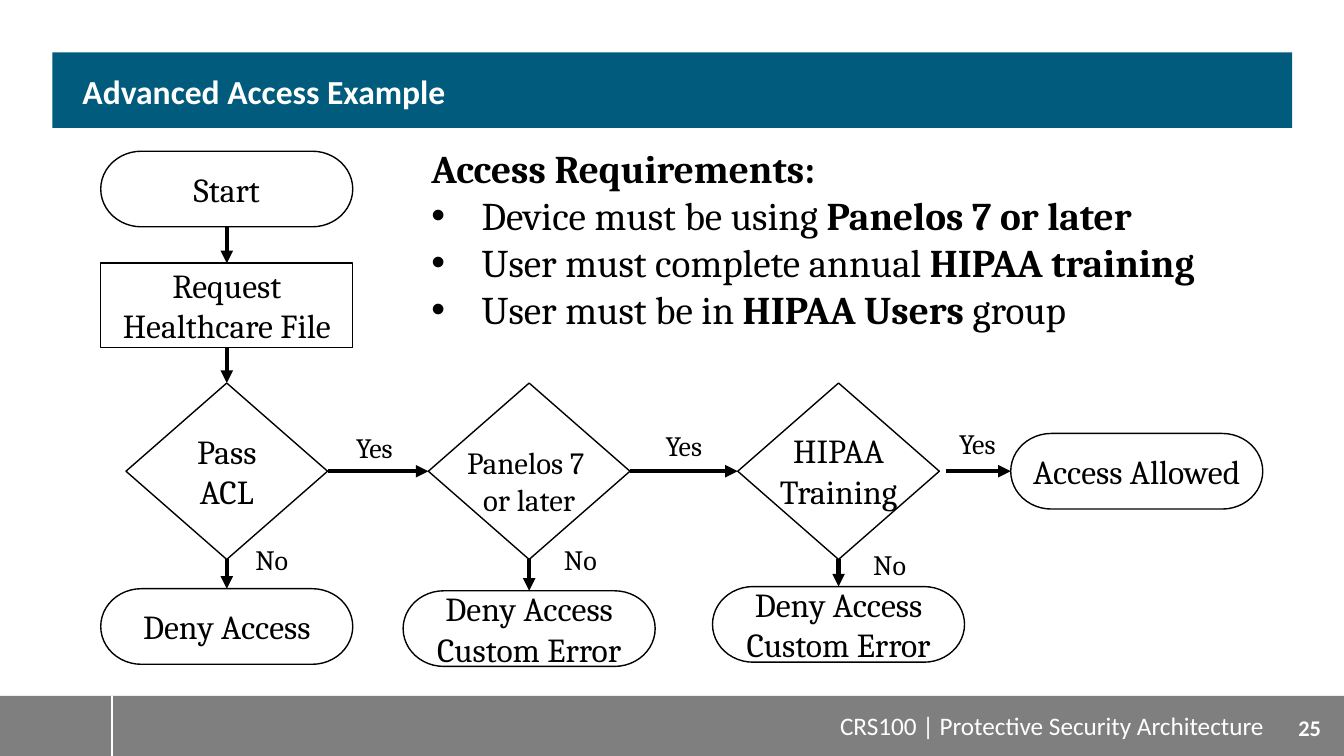
from lxml.etree import SubElement
from pptx import Presentation
from pptx.dml.color import RGBColor as RGB
from pptx.enum.shapes import MSO_CONNECTOR as LINE, MSO_SHAPE as SHAPE
from pptx.enum.text import MSO_ANCHOR as ANCHOR, PP_ALIGN as ALIGN
from pptx.oxml.ns import qn
from pptx.util import Pt

THEME = {
    "ink": RGB(0, 0, 0), "white": RGB(255, 255, 255),
    "banner": RGB(0x00, 0x5B, 0x7D), "footer": RGB(0x7F, 0x7F, 0x7F),
    "head_font": "Calibri", "body_font": "Cambria",
    "title": 24, "body": 28, "node": 24, "node_small": 22,
    "label": 20, "foot": 18, "number": 16,
}

# Content
TITLE = "Advanced Access Example"
FOOTER = "CRS100 | Protective Security Architecture"
NUMBER = "25"
HEADING = "Access Requirements:"
REQUIREMENTS = [  # (text, bold) runs
    [("Device must be using ", False), ("Panelos 7 or later", True)],
    [("User must complete annual ", False), ("HIPAA training", True)],
    [("User must be in ", False), ("HIPAA Users ", True), ("group", False)],
]
COLS = [162, 378, 599, 812]  # column centres
CHECK_Y = 336.6
KINDS = {  # preset shape, width, height
    "end": (SHAPE.FLOWCHART_TERMINATOR, 180, 54),
    "step": (SHAPE.FLOWCHART_PROCESS, 180, 60),
    "check": (SHAPE.FLOWCHART_DECISION, 144, 126),
}
NODES = {  # kind, column, centre y, text
    "start": ("end", 0, 135, "Start"),
    "request": ("step", 0, 218, "Request Healthcare File"),
    "acl": ("check", 0, CHECK_Y, "Pass ACL"),
    "system": ("check", 1, CHECK_Y, ""),
    "training": ("check", 2, CHECK_Y, ""),
    "deny_acl": ("end", 0, 447.5, "Deny Access"),
    "deny_system": ("end", 1, 449, "Deny Access\vCustom Error"),
    "deny_training": ("end", 2, 446, "Deny Access\vCustom Error"),
    "allowed": ("end", 3, CHECK_Y, "Access Allowed"),
}
CHECK_TEXTS = {  # column, top, height, text, size
    "training_text": (2, 303.8, 65.6, "HIPAA\vTraining", "node"),
    "system_text": (1, 313.2, 60.5, "Panelos 7 \vor later", "node_small"),
}
TOP, LEFT, BOTTOM, RIGHT = range(4)
ARROWS = [
    ("start", BOTTOM, "request", TOP), ("request", BOTTOM, "acl", TOP),
    ("acl", RIGHT, "system", LEFT), ("system", RIGHT, "training", LEFT),
    ("training_text", RIGHT, "allowed", LEFT),
    ("training", BOTTOM, "deny_training", TOP),
    ("system", BOTTOM, "deny_system", TOP), ("acl", BOTTOM, "deny_acl", TOP),
]
LABELS = [  # text, left, top
    ("Yes", 234, 303.8), ("Yes", 455, 302.4), ("Yes", 664.6, 301),
    ("No", 602, 387.4), ("No", 381, 383.8), ("No", 160.6, 383.8),
]

prs = Presentation()
prs.slide_width, prs.slide_height = Pt(960), Pt(540)
s = prs.slides.add_slide(prs.slide_layouts[6])


def style(font, size, color="ink", face="body_font", bold=False):
    font.name, font.size, font.bold = THEME[face], Pt(THEME[size]), bold
    font.color.rgb = THEME[color]


def write(sp, text, size, align=ALIGN.CENTER, anchor=ANCHOR.TOP, **look):
    tf = sp.text_frame
    tf.word_wrap, tf.vertical_anchor = True, anchor
    tf.text = text
    p = tf.paragraphs[0]
    p.alignment = align
    for r in p.runs:
        style(r.font, size, **look)
    return sp


def textbox(x, y, w, h, *args, **look):
    return write(s.shapes.add_textbox(Pt(x), Pt(y), Pt(w), Pt(h)), *args, **look)


def shape(kind, x, y, w, h, fill=None):
    sp = s.shapes.add_shape(kind, Pt(x), Pt(y), Pt(w), Pt(h))
    sp.shadow.inherit = False
    if fill:
        sp.fill.solid()
        sp.fill.fore_color.rgb = THEME[fill]
        sp.line.fill.background()
    else:
        sp.fill.background()
        sp.line.color.rgb, sp.line.width = THEME["ink"], Pt(1)
    return sp


def line(color, width, x1=0, y1=0, x2=0, y2=0):
    c = s.shapes.add_connector(LINE.STRAIGHT, Pt(x1), Pt(y1), Pt(x2), Pt(y2))
    c.line.color.rgb, c.line.width = THEME[color], Pt(width)
    SubElement(c._element.spPr, qn("a:effectLst"))
    return c


# Footer and title banner
caption = {"color": "white", "face": "head_font"}
shape(SHAPE.RECTANGLE, 0, 497, 960, 43, "footer")
line("white", 2, 80, 497, 80, 540)
textbox(430, 504, 480, 29, FOOTER, "foot", ALIGN.RIGHT, **caption)
textbox(910, 498, 51, 43, NUMBER, "number", anchor=ANCHOR.MIDDLE,
        bold=True, **caption)
shape(SHAPE.RECTANGLE, 37.4, 37.4, 885.6, 54, "banner")
title = textbox(51.8, 37.4, 857, 54, TITLE, "title", ALIGN.LEFT, ANCHOR.MIDDLE,
                bold=True, **caption)
title.text_frame.margin_top, title.text_frame.margin_bottom = Pt(5), 0
title.text_frame.paragraphs[0].line_spacing = 0.9

# Flowchart nodes
placed = {}
for name, (kind, col, cy, text) in NODES.items():
    preset, w, h = KINDS[kind]
    placed[name] = sp = shape(preset, COLS[col] - w / 2, cy - h / 2, w, h)
    if text:
        write(sp, text, "node", anchor=ANCHOR.MIDDLE)
for name, (col, top, h, text, size) in CHECK_TEXTS.items():
    placed[name] = textbox(COLS[col] - 76.7, top, 153.4, h, text, size)

# Arrows and their labels
for source, out_side, target, in_side in ARROWS:
    arrow = line("ink", 3)
    arrow.begin_connect(placed[source], out_side)
    arrow.end_connect(placed[target], in_side)
    SubElement(arrow.line._get_or_add_ln(), qn("a:tailEnd"), type="triangle")
for text, x, y in LABELS:
    textbox(x, y, 67, 31.5, text, "label")

# Requirements
tf = textbox(301, 99.4, 623, 143, HEADING, "body", ALIGN.LEFT,
             bold=True).text_frame
for runs in REQUIREMENTS:
    p = tf.add_paragraph()
    pPr = p._p.get_or_add_pPr()
    pPr.set("marL", str(Pt(36)))
    pPr.set("indent", str(-Pt(36)))
    SubElement(pPr, qn("a:buFont"), typeface="Arial")
    SubElement(pPr, qn("a:buChar"), char="•")
    for text, bold in runs:
        r = p.add_run()
        r.text = text
        style(r.font, "body", bold=bold)

prs.save("out.pptx")
